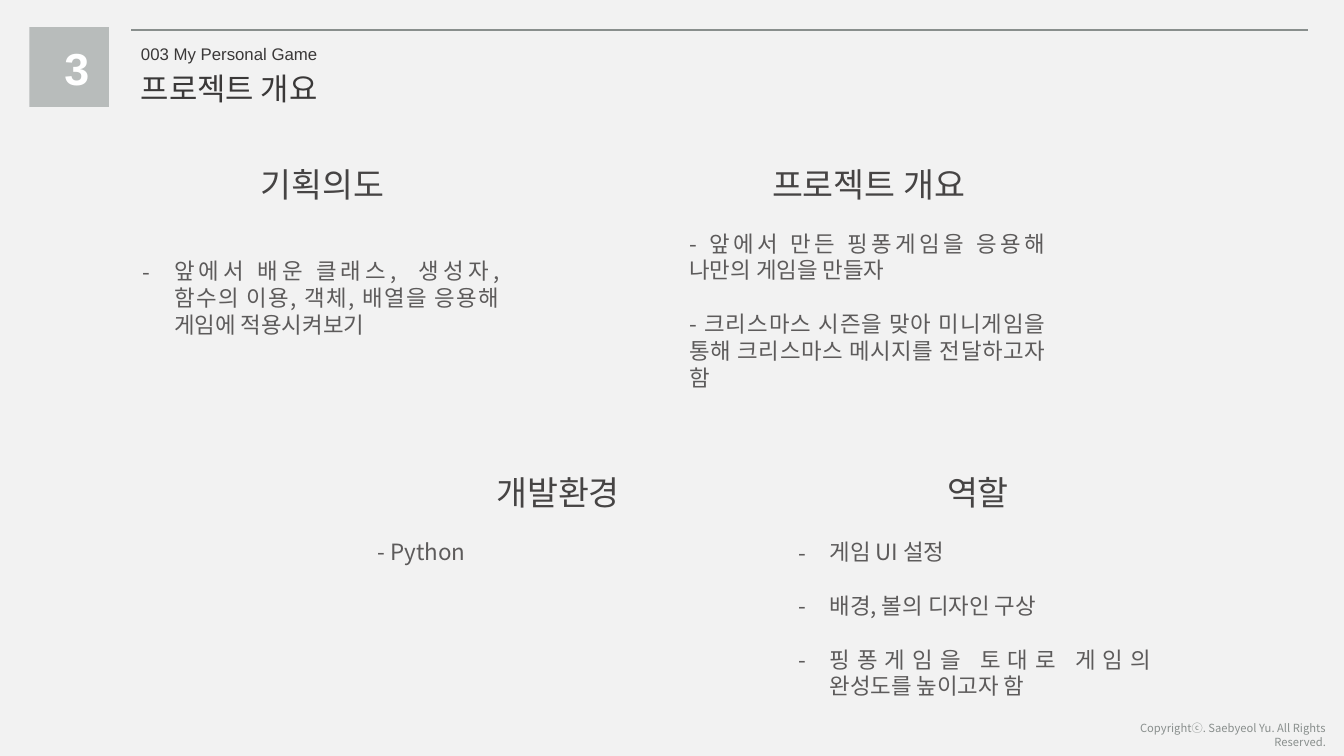
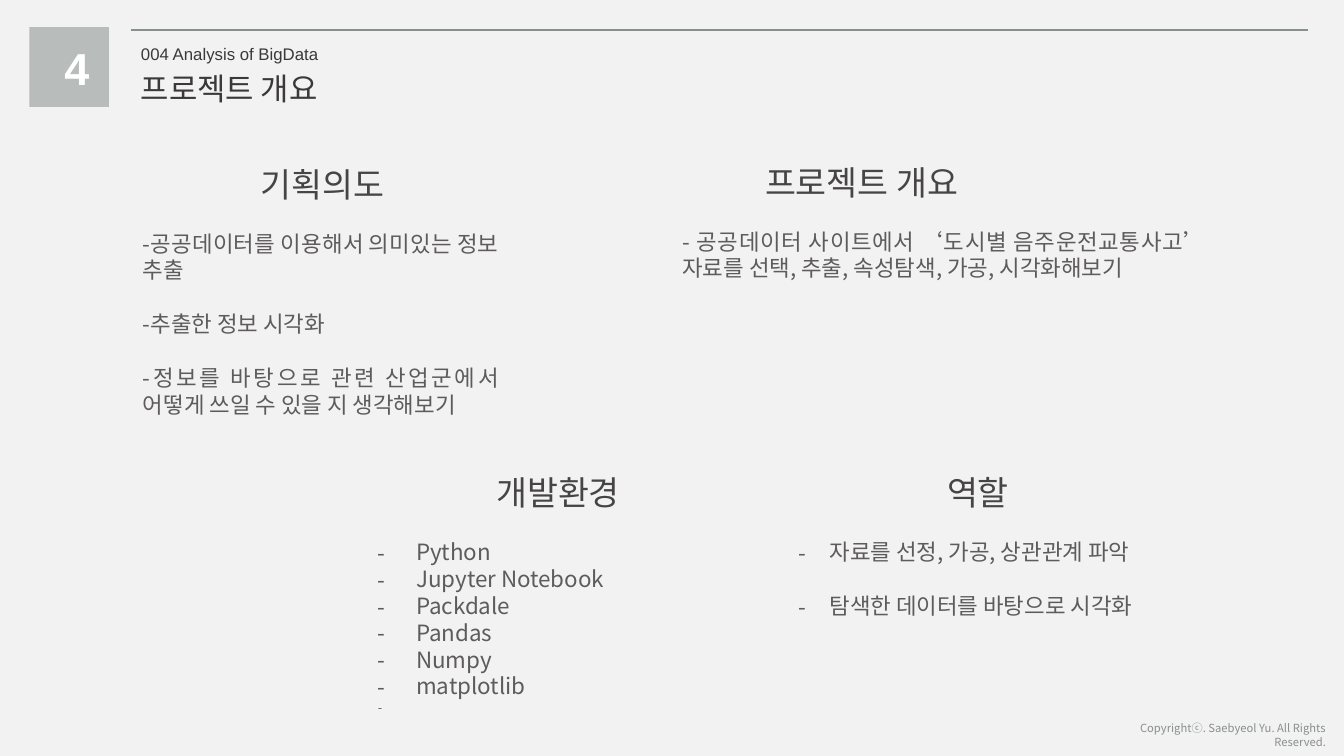
import pptx
import pptx.util
import pptx.dml.color
import pptx.enum.shapes
import pptx.enum.text
import pptx.oxml.ns
import lxml.etree

KOREAN = "Noto Sans CJK KR"
ALIGN = pptx.enum.text.PP_ALIGN
PX = 9144

FORMATS = {
    "number": dict(name="Arial", size=32, color="FFFFFF", bold=True, align=ALIGN.CENTER),
    "kicker": dict(name="Arial", size=12, color="3A3838"),
    "title": dict(name=KOREAN, size=22, color="3A3838"),
    "heading": dict(name=KOREAN, size=24, color="464444", align=ALIGN.CENTER),
    "body": dict(name=KOREAN, size=16, color="5D5B5B", align=ALIGN.JUSTIFY, wrap=True),
    "tail": dict(name=KOREAN, size=9, color="5D5B5B"),
    "copyright": dict(name=KOREAN, size=8, color="898F8D", align=ALIGN.RIGHT, wrap=True),
}

SLIDES = [
    ("3", "003 My Personal Game", [
        ("기획의도", (242, 158, 155), (132, 250, 373, 111), 31, 0,
         ["앞에서 배운 클래스,  생성자, 함수의 이용, 객체, 배열을 응용해 게임에 적용시켜보기"]),
        ("프로젝트 개요", (746, 158, 231), (674, 223, 373, 172), 0, 1,
         ["- 앞에서 만든 핑퐁게임을 응용해 나만의 게임을 만들자",
          "- 크리스마스 시즌을 맞아 미니게임을 통해 크리스마스 메시지를 전달하고자 함"]),
        ("개발환경", (476, 463, 155), (365, 529, 373, 52), 0, 0, ["- Python"]),
        ("역할", (926, 463, 88), (782, 529, 370, 180), 31, 1,
         ["게임 UI 설정", "배경, 볼의 디자인 구상",
          "핑퐁게임을 토대로 게임의 완성도를 높이고자 함"]),
    ]),
    ("4", "004 Analysis of BigData", [
        ("기획의도", (242, 158, 155), (132, 223, 373, 239), 0, 1,
         ["-공공데이터를 이용해서 의미있는 정보 추출", "-추출한 정보 시각화",
          "-정보를 바탕으로 관련 산업군에서 어떻게 쓰일 수 있을 지 생각해보기"]),
        ("프로젝트 개요", (739, 156, 231), (667, 221, 540, 64), 0, 0,
         ["- 공공데이터 사이트에서 ‘도시별 음주운전교통사고’ 자료를 선택, 추출, 속성탐색, 가공, 시각화해보기"]),
        ("개발환경", (476, 463, 155), (365, 529, 373, 172), 38, 0,
         ["Python", "Jupyter Notebook", "Packdale", "Pandas", "Numpy", "matplotlib"]),
        ("역할", (926, 463, 88), (782, 529, 396, 91), 31, 1,
         ["자료를 선정, 가공, 상관관계 파악", "탐색한 데이터를 바탕으로 시각화"]),
    ]),
]


def rgb(value):
    return pptx.dml.color.RGBColor.from_string(value)


def write(slide, box, lines, role, indent=0, gap=0):
    style = FORMATS[role]
    frame = slide.shapes.add_textbox(*[n * PX for n in box]).text_frame
    frame.word_wrap = style.get("wrap", False)
    for index, line in enumerate(lines):
        paragraph = frame.paragraphs[0] if index == 0 else frame.add_paragraph()
        paragraph.alignment = style.get("align", ALIGN.LEFT)
        if style["name"] == KOREAN:
            paragraph.line_spacing = pptx.util.Pt(style["size"] * 1.2)
        if index and gap:
            paragraph.space_before = pptx.util.Pt(style["size"] * 1.2 * gap)
        if indent:
            properties = paragraph._p.get_or_add_pPr()
            properties.set("marL", str(indent * PX))
            properties.set("indent", str(-indent * PX))
            for tag, key, value in (("a:buFont", "typeface", style["name"]), ("a:buChar", "char", "-")):
                lxml.etree.SubElement(properties, pptx.oxml.ns.qn(tag)).set(key, value)
        run = paragraph.add_run()
        run.text = line
        values = dict(name=style["name"], size=pptx.util.Pt(style["size"]), bold=style.get("bold", False))
        for attribute, value in values.items():
            setattr(run.font, attribute, value)
        run.font.color.rgb = rgb(style["color"])
        east_asian = lxml.etree.SubElement(run._r.get_or_add_rPr(), pptx.oxml.ns.qn("a:ea"))
        east_asian.set("typeface", style["name"])


prs = pptx.Presentation()
prs.slide_width = 1333 * PX
prs.slide_height = 750 * PX
backdrop = prs.slide_master.background.fill
backdrop.solid()
backdrop.fore_color.rgb = rgb("F2F2F2")

for number, kicker, sections in SLIDES:
    slide = prs.slides.add_slide(prs.slide_layouts[6])
    write(slide, (1080, 711, 245, 24), ["Copyrightⓒ. Saebyeol Yu. All Rights Reserved."], "copyright")

    rule = slide.shapes.add_connector(
        pptx.enum.shapes.MSO_CONNECTOR.STRAIGHT, 130 * PX, 30 * PX, 1297 * PX, 30 * PX)
    rule.line.color.rgb = rgb("898F8D")
    rule.line.width = pptx.util.Pt(1.5)
    lxml.etree.SubElement(rule._element.spPr, pptx.oxml.ns.qn("a:effectLst"))

    badge = slide.shapes.add_shape(
        pptx.enum.shapes.MSO_SHAPE.RECTANGLE, 29 * PX, 27 * PX, 79 * PX, 79 * PX)
    badge.shadow.inherit = False
    badge.fill.solid()
    badge.fill.fore_color.rgb = rgb("B8BCBB")
    badge.line.fill.background()

    write(slide, (54, 35, 43, 64), [number], "number")
    write(slide, (130, 38, 201, 30), [kicker], "kicker")
    write(slide, (130, 64, 214, 47), ["프로젝트 개요"], "title")

    for heading, (left, top, width), body, indent, gap, lines in sections:
        write(slide, (left, top, width, 50), [heading], "heading")
        write(slide, body, lines, "body", indent, gap)

    if number == "4":
        write(slide, (365, 689, 38, 25), ["-"], "tail")

prs.save("out.pptx")
